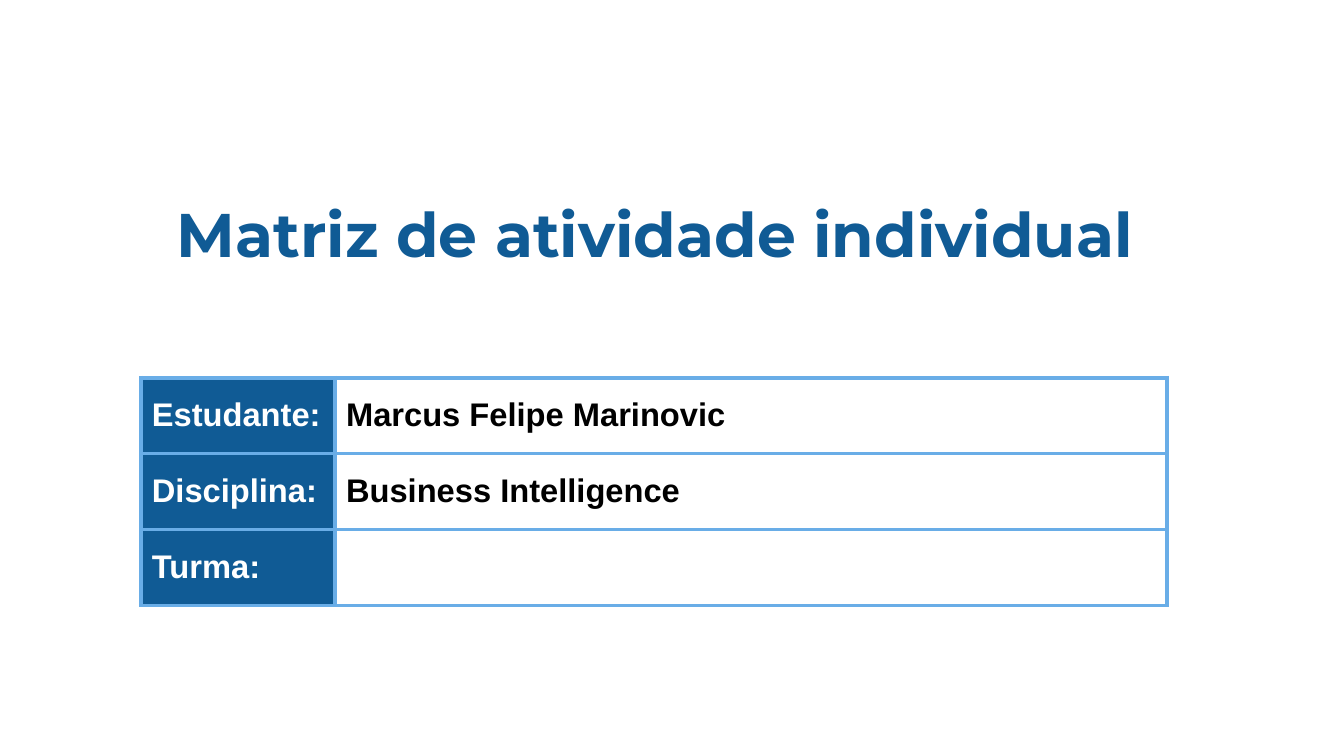
from lxml.etree import SubElement
from pptx import Presentation
from pptx.dml.color import RGBColor
from pptx.enum.text import MSO_ANCHOR, PP_ALIGN
from pptx.oxml.ns import qn
from pptx.util import Inches, Pt

BLUE, SKY, WHITE, BLACK = "105B95", "69ADE7", "FFFFFF", "000000"


def write(para, text, font, size, color):
    run = para.add_run()
    run.text = text
    run.font.name = font
    run.font.size = Pt(size)
    run.font.bold = True
    run.font.color.rgb = RGBColor.from_string(color)


def edge(cell, color, width):
    props = cell._tc.get_or_add_tcPr()
    for side in ("lnL", "lnR", "lnT", "lnB"):
        line = SubElement(props, qn("a:" + side), w=str(Pt(width)))
        fill = SubElement(line, qn("a:solidFill"))
        SubElement(fill, qn("a:srgbClr"), val=color)


deck = Presentation()
deck.slide_width, deck.slide_height = Inches(20), Inches(11.25)
slide = deck.slides.add_slide(deck.slide_layouts[6])

# Title
box = slide.shapes.add_textbox(Inches(0.87), Inches(1.77), Inches(17.75), Inches(3.39))
frame = box.text_frame
frame.word_wrap = True
frame.vertical_anchor = MSO_ANCHOR.MIDDLE
para = frame.paragraphs[0]
para.alignment = PP_ALIGN.CENTER
write(para, "Matriz de atividade individual", "Montserrat", 66, BLUE)

# Student table
rows = [
    ("Estudante:", "Marcus Felipe Marinovic"),
    ("Disciplina:", "Business Intelligence"),
    ("Turma:", ""),
]
cols = [2.89, 12.38]
tall = 1.13
grid = slide.shapes.add_table(
    len(rows), len(cols), Inches(2.1), Inches(5.62),
    Inches(sum(cols)), Inches(tall * len(rows))).table
grid.first_row = grid.horz_banding = False
for c, width in enumerate(cols):
    grid.columns[c].width = Inches(width)

# Cells: white on blue labels, black on white values
looks = [(BLUE, WHITE), (WHITE, BLACK)]
for r, row in enumerate(rows):
    grid.rows[r].height = Inches(tall)
    for c, text in enumerate(row):
        back, ink = looks[c]
        cell = grid.cell(r, c)
        edge(cell, SKY, 4.5)
        cell.fill.solid()
        cell.fill.fore_color.rgb = RGBColor.from_string(back)
        cell.vertical_anchor = MSO_ANCHOR.MIDDLE
        cell.margin_left = cell.margin_right = Inches(0.16)
        cell.margin_top = cell.margin_bottom = Inches(0.04)
        if text:
            write(cell.text_frame.paragraphs[0], text, "Arial", 35, ink)

deck.save("out.pptx")
